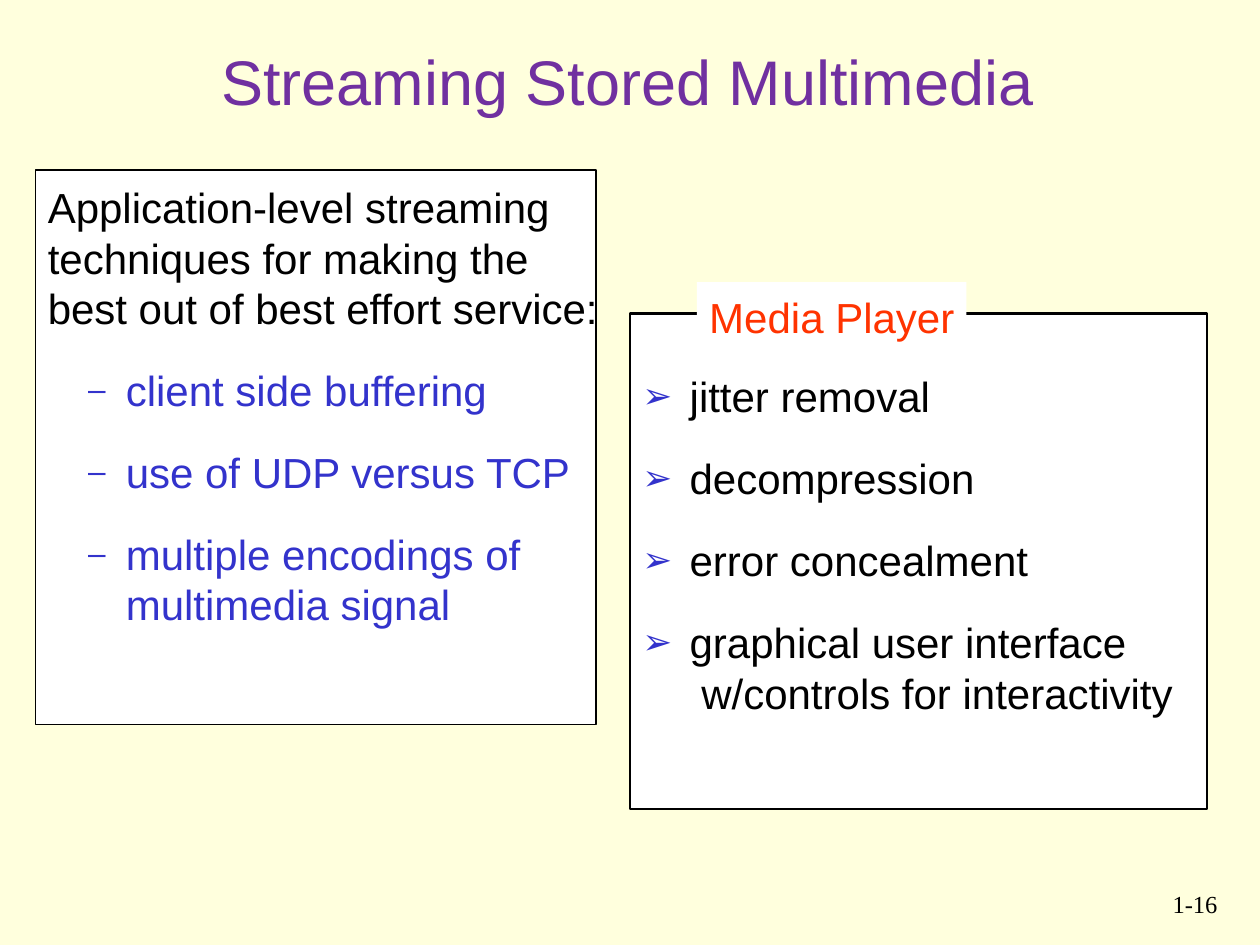
from dataclasses import dataclass
from typing import Optional

from lxml import etree
from pptx import Presentation
from pptx.dml.color import RGBColor
from pptx.enum.shapes import MSO_SHAPE
from pptx.enum.text import MSO_ANCHOR, PP_ALIGN
from pptx.oxml.ns import qn
from pptx.util import Pt

RECTANGLE = MSO_SHAPE.RECTANGLE
TOP, MIDDLE = MSO_ANCHOR.TOP, MSO_ANCHOR.MIDDLE
LEFT, CENTER, RIGHT = PP_ALIGN.LEFT, PP_ALIGN.CENTER, PP_ALIGN.RIGHT

CREAM = RGBColor(0xFF, 0xFF, 0xDD)
WHITE = RGBColor(0xFF, 0xFF, 0xFF)
BLACK = RGBColor(0x00, 0x00, 0x00)
PURPLE = RGBColor(0x70, 0x30, 0xA0)
BLUE = RGBColor(0x33, 0x33, 0xCC)
RED = RGBColor(0xFF, 0x33, 0x00)

LINE_RATIO = 1.2
SIDE_INSET, TOP_INSET, BOTTOM_INSET = 7.2, 5.3, 3.6


@dataclass(frozen=True)
class Area:
    left: float
    top: float
    width: float
    height: float

    def lengths(self) -> tuple:
        return Pt(self.left), Pt(self.top), Pt(self.width), Pt(self.height)


@dataclass(frozen=True)
class Bullet:
    character: str
    percent: int
    indent: float
    hanging: float


@dataclass(frozen=True)
class Line:
    text: str
    color: RGBColor = BLACK
    size: float = 24
    font: str = "Arial"
    align: PP_ALIGN = LEFT
    bullet: Optional[Bullet] = None


DASH = Bullet("–", 75, 44.6, 21.6)
ARROW = Bullet("➢", 85, 27, 27)


def add_panel(page, area: Area, line_width: float = 0):
    """Draw a white rectangle, outlined when a line width is given."""
    panel = page.shapes.add_shape(RECTANGLE, *area.lengths())
    panel.shadow.inherit = False
    panel.fill.solid()
    panel.fill.fore_color.rgb = WHITE
    if line_width:
        panel.line.color.rgb = BLACK
        panel.line.width = Pt(line_width)
    else:
        panel.line.fill.background()
    return panel


def add_text_box(page, area: Area):
    return page.shapes.add_textbox(*area.lengths())


def set_bullet(para, bullet: Bullet) -> None:
    properties = para._p.get_or_add_pPr()
    properties.set("marL", str(Pt(bullet.indent)))
    properties.set("indent", str(-Pt(bullet.hanging)))
    color = etree.SubElement(properties, qn("a:buClr"))
    etree.SubElement(color, qn("a:srgbClr"), val=str(BLUE))
    etree.SubElement(properties, qn("a:buSzPct"), val=str(bullet.percent * 1000))
    etree.SubElement(properties, qn("a:buFont"), typeface="Arial")
    etree.SubElement(properties, qn("a:buChar"), char=bullet.character)


def write(box, lines: list[Line], anchor: MSO_ANCHOR = TOP,
          top_inset: float = TOP_INSET, wrap: bool = True) -> None:
    """Fill a box with lines; a newline in a line is a line break."""
    frame = box.text_frame
    frame.word_wrap = wrap
    frame.vertical_anchor = anchor
    frame.margin_left = frame.margin_right = Pt(SIDE_INSET)
    frame.margin_top, frame.margin_bottom = Pt(top_inset), Pt(BOTTOM_INSET)
    for index, line in enumerate(lines):
        para = frame.add_paragraph() if index else frame.paragraphs[0]
        para.alignment = line.align
        para.line_spacing = Pt(line.size * LINE_RATIO)
        if index:
            para.space_before = Pt(18)
        if line.bullet:
            set_bullet(para, line.bullet)
        for part_index, part in enumerate(line.text.split("\n")):
            if part_index:
                para.add_line_break()
            span = para.add_run()
            span.text = part
            span.font.name = line.font
            span.font.size = Pt(line.size)
            span.font.color.rgb = line.color


def main() -> None:
    deck = Presentation()
    deck.slide_width, deck.slide_height = Pt(720), Pt(540)
    page = deck.slides.add_slide(deck.slide_layouts[6])
    page.background.fill.solid()
    page.background.fill.fore_color.rgb = CREAM

    # Page number
    number = add_text_box(page, Area(653.8, 502.6, 49, 36))
    write(number, [Line("1-16", size=14, font="Times New Roman", align=RIGHT)])

    # Title
    title = add_text_box(page, Area(52.6, 0, 612, 90))
    write(title, [Line("Streaming Stored Multimedia", PURPLE, 36, align=CENTER)],
          anchor=MIDDLE)

    # Streaming techniques; the text is slightly wider than its panel
    add_panel(page, Area(20.2, 97.2, 320.4, 316.8), 0.75)
    techniques = add_text_box(page, Area(20.2, 98.6, 334.8, 300))
    write(techniques, [
        Line("Application-level streaming techniques for making the "
             "best out of best effort service:"),
        *(Line(text, BLUE, bullet=DASH) for text in (
            "client side buffering",
            "use of UDP versus TCP",
            "multiple encodings of multimedia signal",
        )),
    ])

    # Media player tasks
    player = add_panel(page, Area(360, 179.3, 329.8, 283), 1.5)
    write(player, [Line(text, bullet=ARROW) for text in (
        "jitter removal",
        "decompression",
        "error concealment",
        "graphical user interface\n w/controls for interactivity",
    )], top_inset=32.7)

    # Label over the top edge of the player panel
    label = add_panel(page, Area(398.2, 161.3, 154.1, 36))
    write(label, [Line("Media Player", RED)], wrap=False)

    deck.save("out.pptx")


if __name__ == "__main__":
    main()
